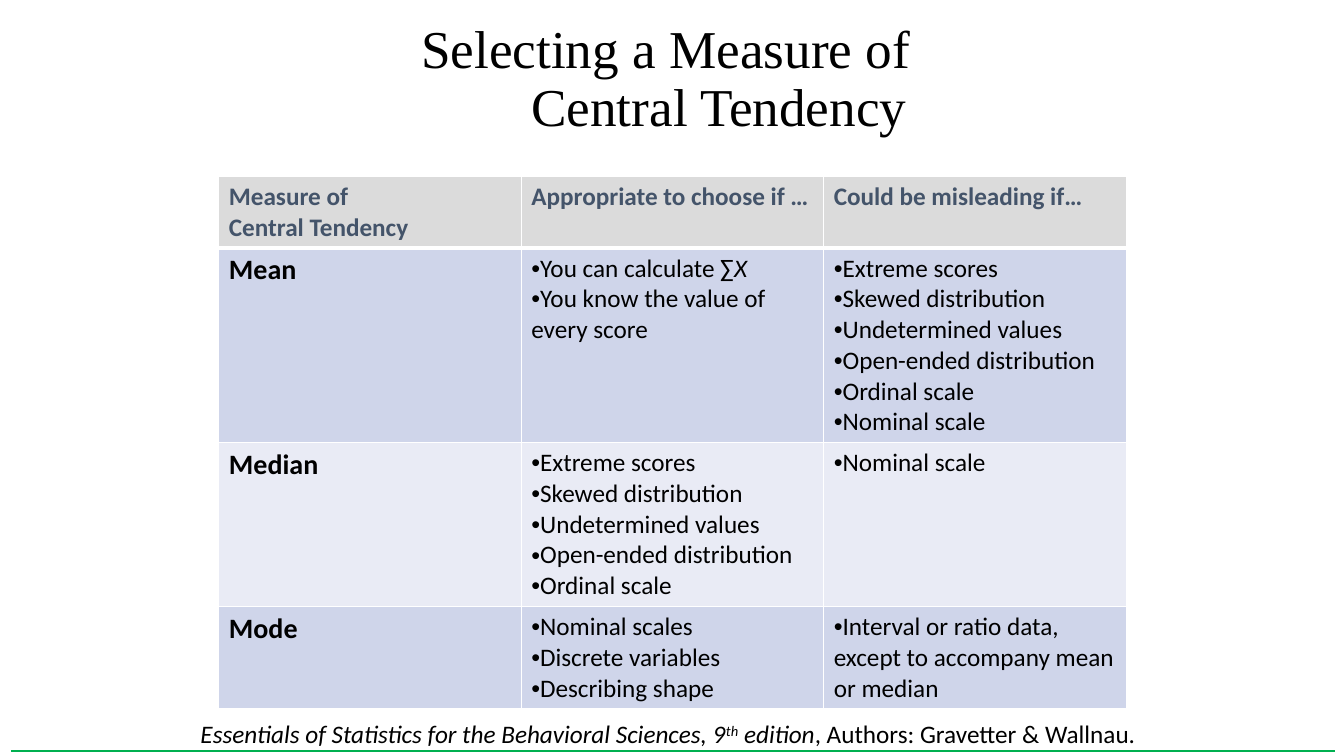
from dataclasses import dataclass
from typing import Any

from pptx import Presentation
from pptx.dml.color import RGBColor as Color
from pptx.enum.shapes import MSO_CONNECTOR as Connector
from pptx.enum.text import MSO_ANCHOR as Anchor, MSO_AUTO_SIZE as AutoSize, PP_ALIGN as Align
from pptx.oxml.ns import qn
from pptx.oxml.xmlchemy import OxmlElement
from pptx.util import Inches, Length, Pt


@dataclass(frozen=True)
class Theme:
    title_font: str = "Times New Roman"
    body_font: str = "Calibri"
    title_size: int = 38
    measure_size: int = 20
    body_size: int = 18
    text: str = "000000"
    header_text: str = "44546A"
    header_fill: str = "DBDBDB"
    bands: tuple[str, str] = ("CFD5EA", "E9EBF5")
    border: str = "FFFFFF"
    rule: str = "00B050"


@dataclass(frozen=True)
class Box:
    """A place on the slide, in percent of its width and height."""
    left: float
    top: float
    width: float
    height: float


@dataclass(frozen=True)
class Run:
    text: str
    italic: bool = False
    baseline: int = 0


@dataclass(frozen=True)
class Measure:
    name: str
    appropriate: tuple[tuple[Run, ...], ...]
    misleading: tuple[tuple[Run, ...], ...]


def plain(*lines: str) -> tuple[tuple[Run, ...], ...]:
    return tuple((Run(line),) for line in lines)


THEME = Theme()
SLIDE_WIDTH, SLIDE_HEIGHT = Inches(13.33), Inches(7.5)
TITLE_BOX = Box(16.28, 2.27, 67.52, 16.67)
TABLE_BOX = Box(16.28, 23.33, 67.52, 70.2)
SOURCE_BOX = Box(14.18, 94.4, 78.84, 5.33)
RULE_BOX = Box(0.82, 99.33, 98.5, 0)
TITLE_INDENT = 6.9
LINE_HEIGHT, ROW_PADDING = 4.07, 1.33

HEADERS = ("Measure of \nCentral Tendency", "Appropriate to choose if …", "Could be misleading if…")
SKEWED_CASES = plain("Extreme scores", "Skewed distribution", "Undetermined values",
                     "Open-ended distribution", "Ordinal scale")
MEASURES = (
    Measure("Mean",
            ((Run("You can calculate ∑"), Run("X", italic=True)),
             *plain("You know the value of every score")),
            SKEWED_CASES + plain("Nominal scale")),
    Measure("Median", SKEWED_CASES, plain("Nominal scale")),
    Measure("Mode",
            plain("Nominal scales", "Discrete variables", "Describing shape"),
            plain("Interval or ratio data, except to accompany mean or median")),
)
ROW_LINES = (2, 6, 5, 3)
SOURCE = (
    Run("Essentials of Statistics for the Behavioral Sciences, 9", italic=True),
    Run("th", italic=True, baseline=30000),
    Run(" edition", italic=True),
    Run(", Authors: Gravetter & Wallnau."),
)

TITLE_FORMAT = {"name": THEME.title_font, "size": Pt(THEME.title_size), "color": THEME.text}
BODY_FORMAT = {"name": THEME.body_font, "size": Pt(THEME.body_size), "color": THEME.text,
               "bold": False}
HEADER_FORMAT = BODY_FORMAT | {"color": THEME.header_text, "bold": True}
MEASURE_FORMAT = BODY_FORMAT | {"size": Pt(THEME.measure_size), "bold": True}


def across(percent: float) -> Length:
    return Length(round(SLIDE_WIDTH * percent / 100))


def down(percent: float) -> Length:
    return Length(round(SLIDE_HEIGHT * percent / 100))


def place(box: Box) -> tuple[Length, Length, Length, Length]:
    return across(box.left), down(box.top), across(box.width), down(box.height)


def write(paragraph: Any, runs: tuple[Run, ...], text_format: dict[str, Any]) -> None:
    for part in runs:
        for index, line in enumerate(part.text.split("\n")):
            if index:
                paragraph.add_line_break()
            run = paragraph.add_run()
            run.text = line
            for name, value in (text_format | {"italic": part.italic}).items():
                if name == "color":
                    run.font.color.rgb = Color.from_string(value)
                else:
                    setattr(run.font, name, value)
            if part.baseline:
                run._r.get_or_add_rPr().set("baseline", str(part.baseline))


def add_bullet(paragraph: Any) -> None:
    properties = paragraph._p.get_or_add_pPr()
    for tag, name, value in (("a:buFont", "typeface", "Arial"), ("a:buChar", "char", "•")):
        element = OxmlElement(tag)
        element.set(name, value)
        properties.append(element)


def fill_cell(cell: Any, paragraphs: tuple[tuple[Run, ...], ...], text_format: dict[str, Any],
              fill: str, bulleted: bool = False) -> None:
    for index, runs in enumerate(paragraphs):
        frame = cell.text_frame
        paragraph = frame.add_paragraph() if index else frame.paragraphs[0]
        if bulleted:
            add_bullet(paragraph)
        write(paragraph, runs, text_format)
    cell.fill.solid()
    cell.fill.fore_color.rgb = Color.from_string(fill)


def add_borders(cell: Any, widths: dict[str, int]) -> None:
    """Put the four border lines ahead of the cell's fill, as the schema asks."""
    properties = cell._tc.get_or_add_tcPr()
    for position, (side, width) in enumerate(widths.items()):
        line = OxmlElement(f"a:ln{side}")
        line.set("w", str(Pt(width)))
        solid = OxmlElement("a:solidFill")
        color = OxmlElement("a:srgbClr")
        color.set("val", THEME.border)
        solid.append(color)
        line.append(solid)
        properties.insert(position, line)


def add_title(slide: Any) -> None:
    frame = slide.shapes.add_textbox(*place(TITLE_BOX)).text_frame
    frame.word_wrap = True
    frame.vertical_anchor = Anchor.MIDDLE
    first, second = frame.paragraphs[0], frame.add_paragraph()
    second._p.get_or_add_pPr().set("marL", str(across(TITLE_INDENT)))
    for paragraph, line in ((first, "Selecting a Measure of "), (second, "Central Tendency")):
        paragraph.alignment = Align.CENTER
        paragraph.line_spacing = 0.9
        write(paragraph, (Run(line),), TITLE_FORMAT)


def add_measures_table(slide: Any) -> None:
    table = slide.shapes.add_table(len(ROW_LINES), len(HEADERS), *place(TABLE_BOX)).table
    for column in table.columns:
        column.width = across(TABLE_BOX.width / len(HEADERS))
    for row, lines in zip(table.rows, ROW_LINES):
        row.height = down(lines * LINE_HEIGHT + ROW_PADDING)
    for column, header in enumerate(HEADERS):
        fill_cell(table.cell(0, column), plain(header), HEADER_FORMAT, THEME.header_fill)
    for row, measure in enumerate(MEASURES, start=1):
        fill = THEME.bands[(row - 1) % 2]
        fill_cell(table.cell(row, 0), plain(measure.name), MEASURE_FORMAT, fill)
        for column, cases in enumerate((measure.appropriate, measure.misleading), start=1):
            fill_cell(table.cell(row, column), cases, BODY_FORMAT, fill, bulleted=True)
    for row in range(len(ROW_LINES)):
        for column in range(len(HEADERS)):
            add_borders(table.cell(row, column),
                        {"L": 1, "R": 1, "T": 3 if row == 1 else 1, "B": 3 if row == 0 else 1})


def add_source(slide: Any) -> None:
    frame = slide.shapes.add_textbox(*place(SOURCE_BOX)).text_frame
    frame.word_wrap = True
    frame.auto_size = AutoSize.SHAPE_TO_FIT_TEXT
    write(frame.paragraphs[0], SOURCE, BODY_FORMAT)


def add_bottom_rule(slide: Any) -> None:
    left, top, width, height = place(RULE_BOX)
    rule = slide.shapes.add_connector(Connector.STRAIGHT, left, top, left + width, top + height)
    rule.line.color.rgb = Color.from_string(THEME.rule)
    rule.line.width = Pt(2)
    rule._element.find(qn("p:spPr")).append(OxmlElement("a:effectLst"))


def main() -> None:
    presentation = Presentation()
    presentation.slide_width, presentation.slide_height = SLIDE_WIDTH, SLIDE_HEIGHT
    slide = presentation.slides.add_slide(presentation.slide_layouts[6])
    for add_part in (add_title, add_measures_table, add_source, add_bottom_rule):
        add_part(slide)
    presentation.save("out.pptx")


if __name__ == "__main__":
    main()
